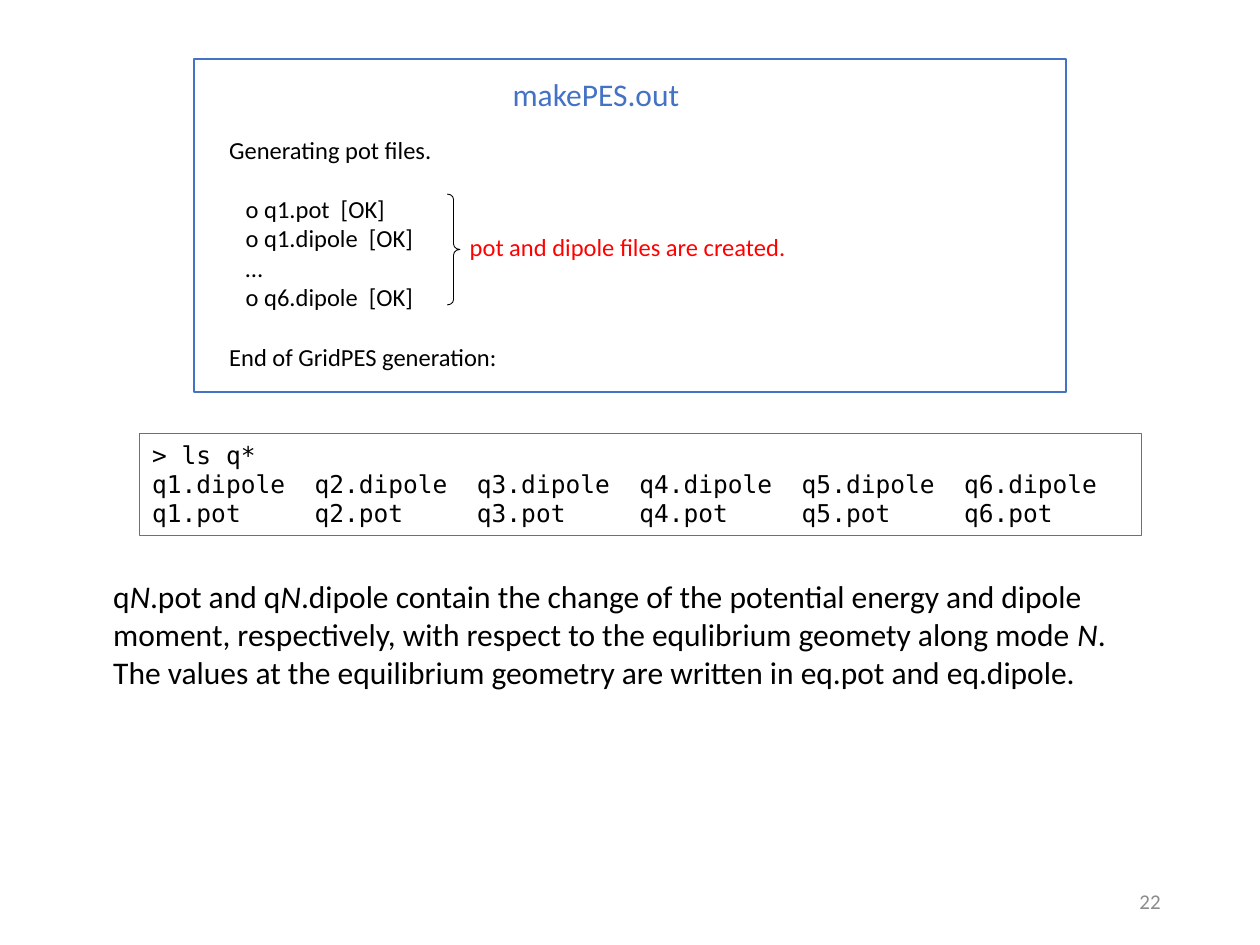
from pptx import Presentation
from pptx.dml.color import RGBColor
from pptx.enum.shapes import MSO_SHAPE
from pptx.enum.text import MSO_ANCHOR, PP_ALIGN
from pptx.util import Inches, Pt

BLACK = RGBColor(0x00, 0x00, 0x00)
BLUE = RGBColor(0x44, 0x72, 0xC4)
GREEN = RGBColor(0x00, 0xB0, 0x50)
RED = RGBColor(0xFF, 0x00, 0x00)
GRAY = RGBColor(0x8C, 0x8C, 0x8C)

SANS = "Calibri"
MONO = "DejaVu Sans Mono"

COLUMNS, ROWS = 100, 75
SLIDE_WIDTH, SLIDE_HEIGHT = Inches(10), Inches(7.5)

BLANK_LINE = Pt(17.1)
LOG_INDENT = Pt(9.5)


def cells(column, row, width, height):
    """Turn a place on the slide grid into left, top, width and height."""
    across, down = SLIDE_WIDTH / COLUMNS, SLIDE_HEIGHT / ROWS
    return (round(column * across), round(row * down),
            round(width * across), round(height * down))


def add_run(paragraph, text, size, color=BLACK, font=SANS, italic=False):
    run = paragraph.add_run()
    run.text = text
    run.font.name = font
    run.font.size = Pt(size)
    run.font.italic = italic
    run.font.color.rgb = color


def add_lines(frame, lines, size, color=BLACK, font=SANS):
    """Write one left-aligned paragraph per line and return the paragraphs."""
    for index, line in enumerate(lines):
        paragraph = frame.paragraphs[0] if index == 0 else frame.add_paragraph()
        paragraph.alignment = PP_ALIGN.LEFT
        add_run(paragraph, line, size, color, font)
    return frame.paragraphs


def add_text_frame(slide, place, wrap=False):
    frame = slide.shapes.add_textbox(*cells(*place)).text_frame
    frame.word_wrap = wrap
    return frame


def add_outline(slide, kind, place, color, weight):
    shape = slide.shapes.add_shape(kind, *cells(*place))
    shape.shadow.inherit = False
    shape.fill.background()
    shape.line.color.rgb = color
    shape.line.width = Pt(weight)
    return shape


def add_log(slide):
    """Program output: a heading line, indented file list and closing line."""
    files = ["o q1.pot  [OK]", "o q1.dipole  [OK]", "…", "o q6.dipole  [OK]"]
    lines = ["Generating pot files.", *files, "End of GridPES generation:"]
    frame = add_text_frame(slide, (17.2, 10.2, 23.5, 19.9))
    paragraphs = add_lines(frame, lines, 14)
    for file_line in paragraphs[1:-1]:
        file_line._p.get_or_add_pPr().set("marL", str(LOG_INDENT))
    for section_start in (paragraphs[1], paragraphs[-1]):
        section_start.space_before = BLANK_LINE


def add_output_panel(slide):
    add_log(slide)
    add_outline(slide, MSO_SHAPE.RECTANGLE, (15.4, 4.7, 69.2, 26.4), BLUE, 1)
    add_lines(add_text_frame(slide, (39.7, 5.5, 15.4, 4)),
              ["makePES.out"], 18, BLUE)
    add_lines(add_text_frame(slide, (36.3, 17.9, 27.3, 3.4)),
              ["pot and dipole files are created."], 14, RED)
    brace = add_outline(slide, MSO_SHAPE.RIGHT_BRACE,
                        (35.5, 15.4, 1, 8.8), BLACK, 0.5)
    brace.adjustments[0] = 0.425


def add_terminal(slide):
    """Directory listing with one column per mode."""
    listing = ["  ".join(f"q{mode}.{suffix}".ljust(len("q1.dipole"))
                         for mode in range(1, 7)).rstrip()
               for suffix in ("dipole", "pot")]
    terminal = add_outline(slide, MSO_SHAPE.RECTANGLE,
                           (11.1, 34.4, 79.5, 8.1), GREEN, 0.75)
    frame = terminal.text_frame
    frame.word_wrap = True
    frame.vertical_anchor = MSO_ANCHOR.TOP
    add_lines(frame, ["> ls q*", *listing], 14, font=MONO)


def add_explanation(slide):
    frame = add_text_frame(slide, (8, 45.3, 82.5, 10.1), wrap=True)
    parts = [
        "q", "N", ".pot and q", "N",
        ".dipole contain the change of the potential energy and dipole moment, "
        "respectively, with respect to the equlibrium geomety along mode ",
        "N",
        ". The values at the equilibrium geometry are written in eq.pot "
        "and eq.dipole.",
    ]
    for part in parts:
        add_run(frame.paragraphs[0], part, 18, italic=part == "N")


def add_page_number(slide):
    frame = add_text_frame(slide, (70.6, 69.5, 22.5, 4), wrap=True)
    frame.vertical_anchor = MSO_ANCHOR.MIDDLE
    frame.paragraphs[0].alignment = PP_ALIGN.RIGHT
    add_run(frame.paragraphs[0], "22", 12, GRAY)


def main():
    presentation = Presentation()
    presentation.slide_width = SLIDE_WIDTH
    presentation.slide_height = SLIDE_HEIGHT
    slide = presentation.slides.add_slide(presentation.slide_layouts[6])
    add_page_number(slide)
    add_output_panel(slide)
    add_terminal(slide)
    add_explanation(slide)
    presentation.save("out.pptx")


if __name__ == "__main__":
    main()
